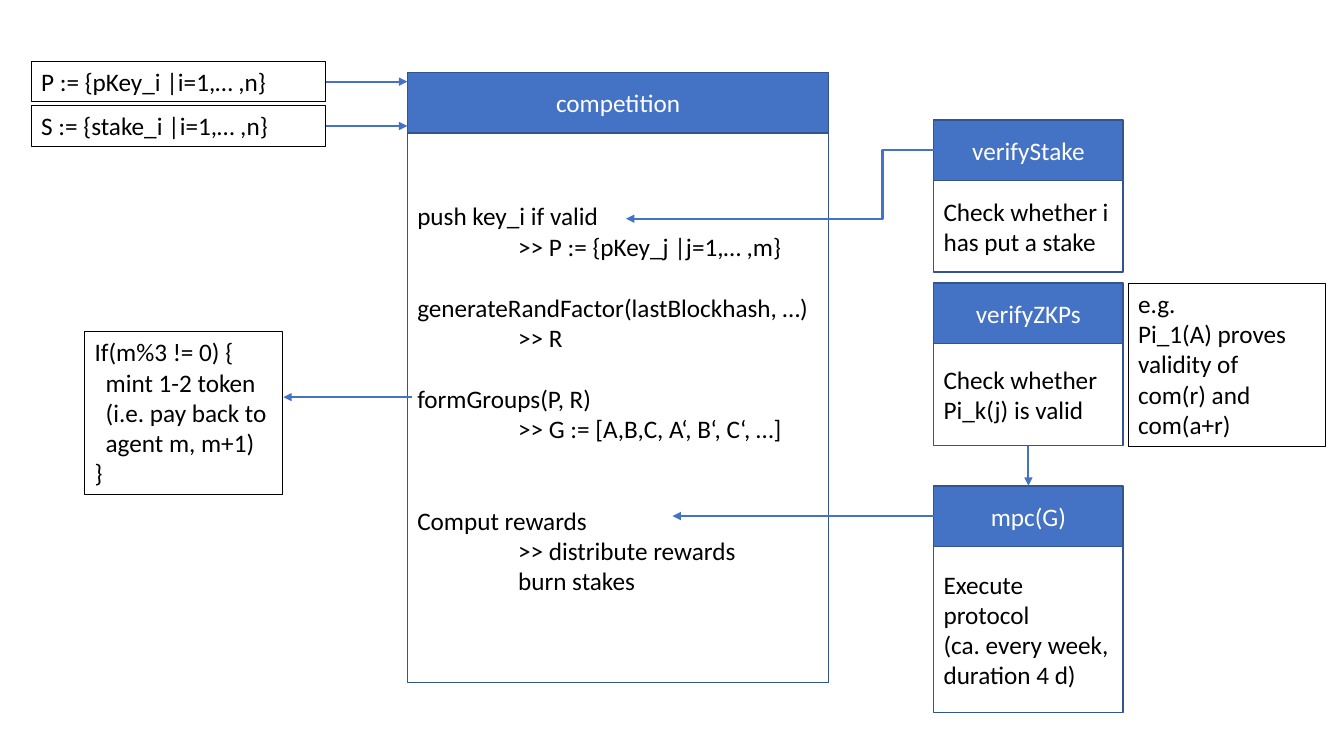
from lxml.etree import SubElement
from pptx import Presentation
from pptx.dml.color import RGBColor
from pptx.enum.shapes import MSO_CONNECTOR as LINK, MSO_SHAPE as SHAPE
from pptx.enum.text import MSO_ANCHOR as ANCHOR, MSO_AUTO_SIZE as AUTO, PP_ALIGN as ALIGN
from pptx.oxml.ns import qn
from pptx.util import Inches, Pt

COLORS = {"blue": "4472C4", "edge": "325491", "black": "000000", "white": "FFFFFF"}
TOP, LEFT, BOTTOM, RIGHT = range(4)  # connection sites
HEADER_HEIGHT = 0.6


class Diagram:
    """Holds the slide and its style; one method per kind of element."""

    font = "Calibri"
    size = 18
    blank_line = 22

    def __init__(self, slide):
        self.shapes = slide.shapes

    def color(self, name):
        return RGBColor.from_string(COLORS[name])

    def box(self, left, top, width, height, lines, edge="edge", weight=1, fill=None,
            ink="black", align=ALIGN.LEFT, anchor=ANCHOR.MIDDLE, inset_top=0.05):
        """Each line is a text, or (text, indent in inches, blank lines before)."""
        box = self.shapes.add_shape(SHAPE.RECTANGLE, Inches(left), Inches(top),
                                    Inches(width), Inches(height))
        box.shadow.inherit = False
        box.line.color.rgb = self.color(edge)
        box.line.width = Pt(weight)
        if fill:
            box.fill.solid()
            box.fill.fore_color.rgb = self.color(fill)
        else:
            box.fill.background()
        frame = box.text_frame
        frame.word_wrap = True
        frame.vertical_anchor = anchor
        frame.margin_top = Inches(inset_top)
        lines = [(line, 0, 0) if isinstance(line, str) else line for line in lines]
        frame.text = "\n".join(text for text, _, _ in lines)
        for paragraph, (_, indent, gap) in zip(frame.paragraphs, lines):
            paragraph.alignment = align
            if indent:
                paragraph._p.get_or_add_pPr().set("marL", str(Inches(indent)))
            if gap:
                paragraph.space_before = Pt(gap * self.blank_line)
            for run in paragraph.runs:
                run.font.name = self.font
                run.font.size = Pt(self.size)
                run.font.color.rgb = self.color(ink)
        return box

    def note(self, left, top, width, height, lines):
        note = self.box(left, top, width, height, lines, edge="black", weight=0.75,
                        anchor=ANCHOR.TOP)
        note.text_frame.auto_size = AUTO.SHAPE_TO_FIT_TEXT
        return note

    def module(self, left, top, width, title, body_height, lines, **body_style):
        """A titled block; returns its header and its body."""
        body = self.box(left, top + HEADER_HEIGHT, width, body_height, lines, **body_style)
        header = self.box(left, top, width, HEADER_HEIGHT, [title], fill="blue",
                          ink="white", align=ALIGN.CENTER)
        return header, body

    def arrow(self, start, end, source=None, target=None, bend=None):
        """source and target are (shape, site) pairs to join."""
        kind = LINK.STRAIGHT if bend is None else LINK.ELBOW
        arrow = self.shapes.add_connector(kind, *map(Inches, start + end))
        if source:
            arrow.begin_connect(*source)
        if target:
            arrow.end_connect(*target)
        arrow.line.color.rgb = self.color("blue")
        arrow.line.width = Pt(1.5)
        properties = arrow._element.spPr
        SubElement(properties.find(qn("a:ln")), qn("a:tailEnd"), type="triangle")
        SubElement(properties, qn("a:effectLst"))
        if bend is not None:
            guides = properties.find(qn("a:prstGeom")).get_or_add_avLst()
            SubElement(guides, qn("a:gd"), name="adj1", fmla=f"val {round(bend * 100000)}")


def main():
    presentation = Presentation()
    presentation.slide_width = Inches(13.33)
    presentation.slide_height = Inches(7.5)
    diagram = Diagram(presentation.slides.add_slide(presentation.slide_layouts[6]))

    # Competition and its steps
    diagram.module(4.04, 0.72, 4.18, "competition", 5.45, [
        "push key_i if valid",
        (">> P := {pKey_j |j=1,… ,m}", 1, 0),
        ("generateRandFactor(lastBlockhash, …)", 0, 1),
        (">> R", 1, 0),
        ("formGroups(P, R)", 0, 1),
        (">> G := [A,B,C, A‘, B‘, C‘, …]", 1, 0),
        ("Comput rewards", 0, 2),
        (">> distribute rewards", 1, 0),
        ("burn stakes", 1, 0),
    ], anchor=ANCHOR.TOP, inset_top=0.67)

    # Inputs
    for top, definition in ((0.61, "P := {pKey_i |i=1,… ,n}"),
                            (1.05, "S := {stake_i |i=1,… ,n}")):
        key_set = diagram.note(0.31, top, 2.92, 0.4, [definition])
        diagram.arrow((3.23, top + 0.2), (4.04, top + 0.2), source=(key_set, RIGHT))

    # Verification and protocol modules
    stake_header, _ = diagram.module(9.26, 1.19, 1.88, "verifyStake", 0.91,
                                     ["Check whether i has put a stake"])
    _, zkp_body = diagram.module(9.26, 2.81, 1.88, "verifyZKPs", 1.01,
                                 ["Check whether Pi_k(j) is valid"])
    mpc_header, _ = diagram.module(9.26, 4.82, 1.88, "mpc(G)", 1.65,
                                   ["Execute protocol", "(ca. every week, duration 4 d)"])

    # Side notes
    diagram.note(11.19, 2.81, 1.96, 1.62,
                 ["e.g.", "Pi_1(A) proves validity of", "com(r) and", "com(a+r)"])
    diagram.note(0.84, 3.29, 1.96, 1.62, [
        "If(m%3 != 0) {",
        ("mint 1-2 token", 0.11, 0),
        ("(i.e. pay back to", 0.11, 0),
        ("agent m, m+1)", 0.11, 0),
        "}",
    ])

    # Flow between the modules
    diagram.arrow((9.26, 1.49), (6.21, 2.17), source=(stake_header, LEFT), bend=0.166)
    diagram.arrow((10.2, 4.42), (10.2, 4.82), source=(zkp_body, BOTTOM),
                  target=(mpc_header, TOP))
    diagram.arrow((9.26, 5.12), (6.67, 5.12), source=(mpc_header, LEFT))
    diagram.arrow((4.09, 3.94), (2.81, 3.94))

    presentation.save("out.pptx")


if __name__ == "__main__":
    main()
